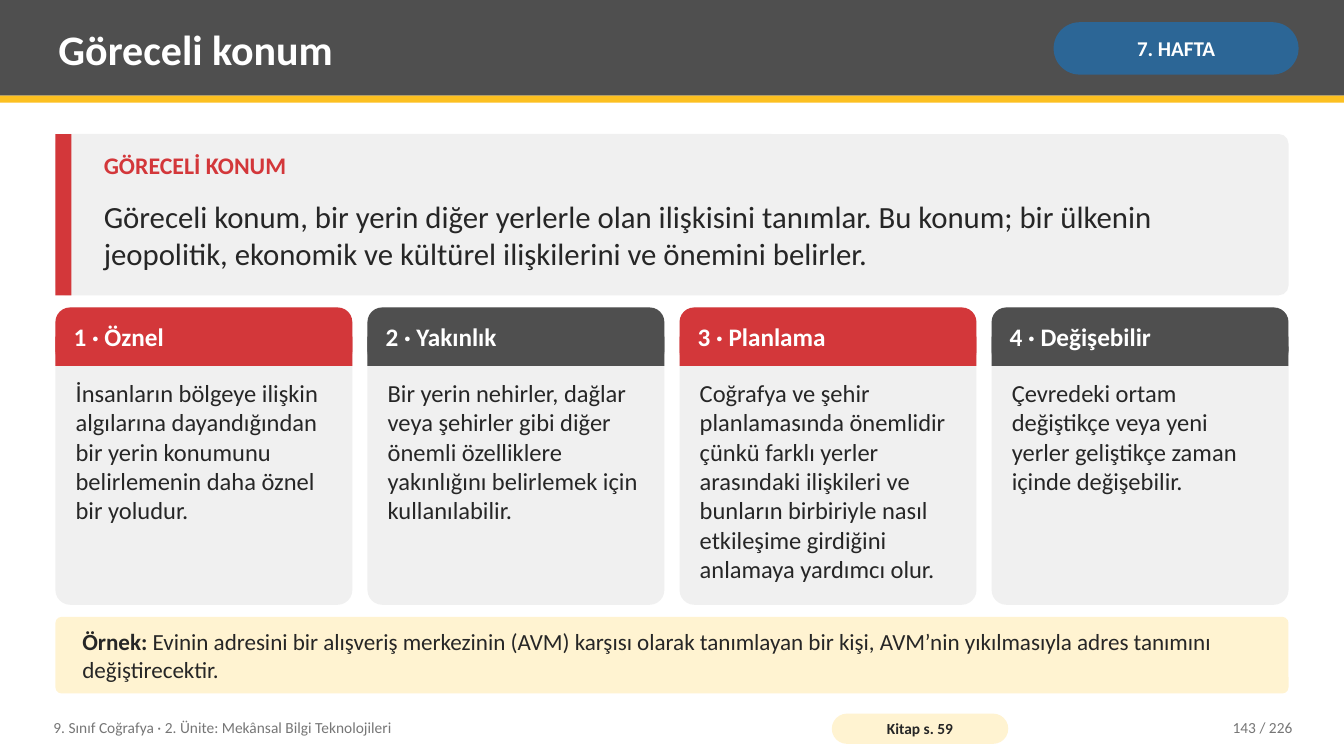
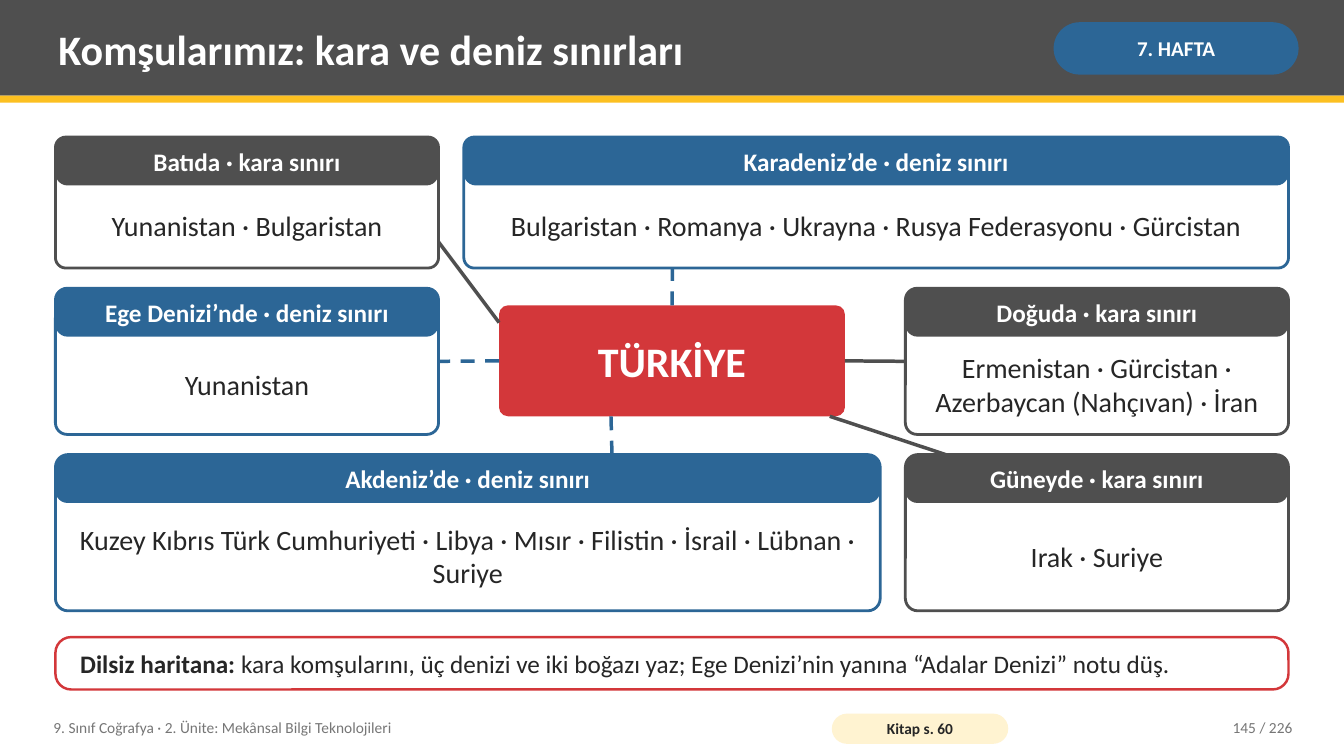
"""Build two geography slides: relative location and Türkiye's neighbours."""
from dataclasses import dataclass
from itertools import accumulate
from typing import Optional

from lxml.etree import SubElement
from pptx import Presentation
from pptx.dml.color import RGBColor
from pptx.enum.dml import MSO_LINE_DASH_STYLE as Dash
from pptx.enum.shapes import MSO_CONNECTOR as Conn, MSO_SHAPE as Shape
from pptx.enum.text import MSO_ANCHOR as Anchor, MSO_AUTO_SIZE as AutoSize, PP_ALIGN as Align
from pptx.oxml.ns import qn
from pptx.util import Inches, Pt

SLIDE_W, SLIDE_H = 13.33, 7.5
LEFT, WIDTH = 0.55, 12.23
FONT = "Calibri"
GREY, RED, BLUE, YELLOW = "4F4F4F", "D3373A", "2C6696", "FCC021"
PALE, CREAM, WHITE, INK, MUTED = "F0F0F0", "FFF3D1", "FFFFFF", "262626", "767676"
TEXT_INSETS = (0.08, 0.04)
HEAD_INSETS = (0.14, 0)
TOP, BOTTOM, SIDE_L, SIDE_R = 0, 2, 1, 3


@dataclass(frozen=True)
class Box:
    x: float
    y: float
    w: float
    h: float

    def emu(self) -> list:
        return [Inches(v) for v in (self.x, self.y, self.w, self.h)]


@dataclass(frozen=True)
class Style:
    size: float
    color: str = INK
    bold: bool = False
    align: Align = Align.LEFT
    anchor: Anchor = Anchor.MIDDLE
    insets: tuple = TEXT_INSETS


@dataclass(frozen=True)
class Card:
    head: str
    body: str
    color: str


@dataclass(frozen=True)
class Border:
    name: str
    countries: str
    color: str
    row: int
    wide: bool
    right: bool


@dataclass(frozen=True)
class Link:
    start: tuple
    end: tuple
    color: str
    site: Optional[int] = None
    target: Optional[str] = None


TITLE = Style(30, WHITE, True)
HEAD = Style(18, WHITE, True, Align.CENTER, insets=HEAD_INSETS)
FOOT = Style(11, MUTED)

CARDS = [
    Card("1 · Öznel", "İnsanların bölgeye ilişkin algılarına dayandığından bir yerin "
         "konumunu belirlemenin daha öznel bir yoludur.", RED),
    Card("2 · Yakınlık", "Bir yerin nehirler, dağlar veya şehirler gibi diğer önemli "
         "özelliklere yakınlığını belirlemek için kullanılabilir.", GREY),
    Card("3 · Planlama", "Coğrafya ve şehir planlamasında önemlidir çünkü farklı yerler "
         "arasındaki ilişkileri ve bunların birbiriyle nasıl etkileşime girdiğini "
         "anlamaya yardımcı olur.", RED),
    Card("4 · Değişebilir", "Çevredeki ortam değiştikçe veya yeni yerler geliştikçe "
         "zaman içinde değişebilir.", GREY),
]

AEGEAN, EAST = "Ege Denizi’nde · deniz sınırı", "Doğuda · kara sınırı"
BORDERS = [
    Border("Batıda · kara sınırı", "Yunanistan · Bulgaristan", GREY, 0, False, False),
    Border("Karadeniz’de · deniz sınırı",
           "Bulgaristan · Romanya · Ukrayna · Rusya Federasyonu · Gürcistan",
           BLUE, 0, True, True),
    Border(AEGEAN, "Yunanistan", BLUE, 1, False, False),
    Border(EAST, "Ermenistan · Gürcistan · Azerbaycan (Nahçıvan) · İran",
           GREY, 1, False, True),
    Border("Akdeniz’de · deniz sınırı",
           "Kuzey Kıbrıs Türk Cumhuriyeti · Libya · Mısır · Filistin · İsrail · "
           "Lübnan · Suriye", BLUE, 2, True, False),
    Border("Güneyde · kara sınırı", "Irak · Suriye", GREY, 2, False, True),
]

LINKS = [
    Link((6.66, 3.03), (6.67, 2.66), BLUE, TOP),
    Link((4.95, 3.2), (4.35, 2.4), GREY),
    Link((4.95, 3.58), (4.35, 3.58), BLUE, SIDE_L, AEGEAN),
    Link((8.38, 3.58), (8.98, 3.58), GREY, SIDE_R, EAST),
    Link((6.06, 4.13), (6.07, 4.51), BLUE),
    Link((8.23, 4.13), (9.38, 4.51), GREY),
]


def rgb(color: str) -> RGBColor:
    """Turn a hex string into a colour."""
    return RGBColor.from_string(color)


def write(sp, style: Style, *texts: str, lead: str = "") -> None:
    """Write one paragraph run by run, with an optional bold lead."""
    tf = sp.text_frame
    tf.word_wrap = True
    tf.auto_size = AutoSize.NONE
    tf.vertical_anchor = style.anchor
    tf.margin_left = tf.margin_right = Inches(style.insets[0])
    tf.margin_top = tf.margin_bottom = Inches(style.insets[1])
    p = tf.paragraphs[0]
    p.alignment = style.align
    runs = [(lead, True)] if lead else []
    for text, bold in runs + [(t, style.bold) for t in texts]:
        r = p.add_run()
        r.text = text
        r.font.name = FONT
        r.font.size = Pt(style.size)
        r.font.bold = bold
        r.font.color.rgb = rgb(style.color)


def add_text(s, box: Box, style: Style, text: str) -> None:
    """Add a text box."""
    write(s.shapes.add_textbox(*box.emu()), style, text)


def add_block(s, box: Box, fill: str, radius: float = 0, line: str = "", width: float = 2):
    """Add a plain or rounded rectangle."""
    kind = Shape.ROUNDED_RECTANGLE if radius else Shape.RECTANGLE
    sp = s.shapes.add_shape(kind, *box.emu())
    sp.shadow.inherit = False
    if radius:
        sp.adjustments[0] = radius
    sp.fill.solid()
    sp.fill.fore_color.rgb = rgb(fill)
    if line:
        sp.line.color.rgb = rgb(line)
        sp.line.width = Pt(width)
    else:
        sp.line.fill.background()
    return sp


def add_link(s, link: Link, hub, panels: dict) -> None:
    """Draw a border line; sea borders are dashed."""
    points = [Inches(v) for v in (*link.start, *link.end)]
    c = s.shapes.add_connector(Conn.STRAIGHT, *points)
    if link.site is not None:
        c.begin_connect(hub, link.site)
    if link.target:
        c.end_connect(panels[link.target], SIDE_R if link.site == SIDE_L else SIDE_L)
    c.line.color.rgb = rgb(link.color)
    c.line.width = Pt(2.5)
    if link.color == BLUE:
        c.line.dash_style = Dash.DASH
    SubElement(c.element.spPr, qn("a:effectLst"))


def new_slide(prs, title: str, book_page: int, number: int):
    """Add a slide with the shared header and footer."""
    s = prs.slides.add_slide(prs.slide_layouts[5])
    add_block(s, Box(0, 0, SLIDE_W, 0.95), GREY)
    stripe = add_block(s, Box(0, 0.95, SLIDE_W, 0.07), YELLOW)
    sp = s.shapes.title
    sp.left, sp.top, sp.width, sp.height = Box(0.5, 0.07, 9.75, 0.82).emu()
    write(sp, TITLE, title)
    stripe.element.addnext(sp.element)
    week = add_block(s, Box(10.45, 0.22, 2.43, 0.52), BLUE, 0.5)
    write(week, Style(15, WHITE, True, Align.CENTER, insets=(0.05, 0.02)), "7. HAFTA")
    add_text(s, Box(0.45, 7.04, 7.6, 0.36), FOOT,
             "9. Sınıf Coğrafya · 2. Ünite: Mekânsal Bilgi Teknolojileri")
    book = add_block(s, Box(8.25, 7.08, 1.75, 0.3), CREAM, 0.5)
    write(book, Style(11, INK, True, Align.CENTER, insets=(0.04, 0)), f"Kitap s. {book_page}")
    add_text(s, Box(11.3, 7.04, 1.6, 0.36), Style(11, MUTED, align=Align.RIGHT),
             f"{number} / 226")
    return s


def add_card(s, card: Card, box: Box) -> None:
    """Draw a card with a coloured head that is rounded only on top."""
    head_h = 0.58
    add_block(s, box, PALE, 0.05)
    add_block(s, Box(box.x, box.y, box.w, head_h), card.color, 0.25)
    add_block(s, Box(box.x, box.y + head_h / 2, box.w, head_h / 2), card.color)
    add_text(s, Box(box.x + 0.1, box.y, box.w - 0.2, head_h), Style(18, WHITE, True), card.head)
    add_text(s, Box(box.x + 0.12, box.y + 0.66, box.w - 0.24, box.h - 0.74),
             Style(17.5, anchor=Anchor.TOP), card.body)


def add_panel(s, border: Border, box: Box):
    """Draw an outlined panel for one border and return its frame."""
    frame = add_block(s, box, WHITE, 0.08, border.color)
    head = add_block(s, Box(box.x, box.y, box.w, 0.48), border.color, 0.25)
    write(head, HEAD, border.name)
    add_text(s, Box(box.x + 0.12, box.y + 0.52, box.w - 0.24, box.h - 0.58),
             Style(20, align=Align.CENTER), border.countries)
    return frame


def relative_location(prs) -> None:
    """Build the slide on relative location."""
    s = new_slide(prs, "Göreceli konum", 59, 143)
    top, height = 1.33, 1.6
    add_block(s, Box(LEFT, top, WIDTH, height), PALE, 0.06)
    add_block(s, Box(LEFT, top, 0.16, height), RED)
    add_text(s, Box(0.95, 1.45, 11.63, 0.45), Style(17, RED, True, anchor=Anchor.TOP),
             "GÖRECELİ KONUM")
    add_text(s, Box(0.95, 1.88, 11.63, 0.9), Style(22),
             "Göreceli konum, bir yerin diğer yerlerle olan ilişkisini tanımlar. Bu konum; "
             "bir ülkenin jeopolitik, ekonomik ve kültürel ilişkilerini ve önemini belirler.")
    gap = 0.15
    card_w = (WIDTH - gap * (len(CARDS) - 1)) / len(CARDS)
    for i, card in enumerate(CARDS):
        add_card(s, card, Box(LEFT + i * (card_w + gap), 3.05, card_w, 2.95))
    example = add_block(s, Box(LEFT, 6.12, WIDTH, 0.76), CREAM, 0.08)
    write(example, Style(16.5, insets=(0.25, 0.08)),
          " Evinin adresini bir alışveriş merkezinin (AVM) karşısı olarak tanımlayan bir "
          "kişi, AVM’nin yıkılmasıyla adres tanımını değiştirecektir.", lead="Örnek:")


def neighbours(prs) -> None:
    """Build the slide on land and sea borders."""
    s = new_slide(prs, "Komşularımız: kara ve deniz sınırları", 60, 145)
    narrow, gap_x, gap_y = 3.8, 0.25, 0.2
    wide = WIDTH - narrow - gap_x
    heights = [1.3, 1.45, 1.55]
    tops = list(accumulate((h + gap_y for h in heights), initial=1.36))
    panels = {}
    for b in BORDERS:
        w = wide if b.wide else narrow
        x = LEFT + WIDTH - w if b.right else LEFT
        panels[b.name] = add_panel(s, b, Box(x, tops[b.row], w, heights[b.row]))
    hub = add_block(s, Box(4.95, 3.03, 3.43, 1.1), RED, 0.08)
    write(hub, Style(30, WHITE, True, Align.CENTER, insets=(0.14, 0.08)), "TÜRKİYE")
    for link in LINKS:
        add_link(s, link, hub, panels)
    task = add_block(s, Box(LEFT, 6.32, WIDTH, 0.52), WHITE, 0.3, RED, 1.75)
    write(task, Style(18, insets=(0.2, 0)),
          " kara komşularını, üç denizi ve iki boğazı yaz; Ege Denizi’nin yanına "
          "“Adalar Denizi” notu düş.", lead="Dilsiz haritana:")


def main() -> None:
    """Build and save the presentation."""
    prs = Presentation()
    prs.slide_width, prs.slide_height = Inches(SLIDE_W), Inches(SLIDE_H)
    relative_location(prs)
    neighbours(prs)
    prs.save("out.pptx")


if __name__ == "__main__":
    main()
